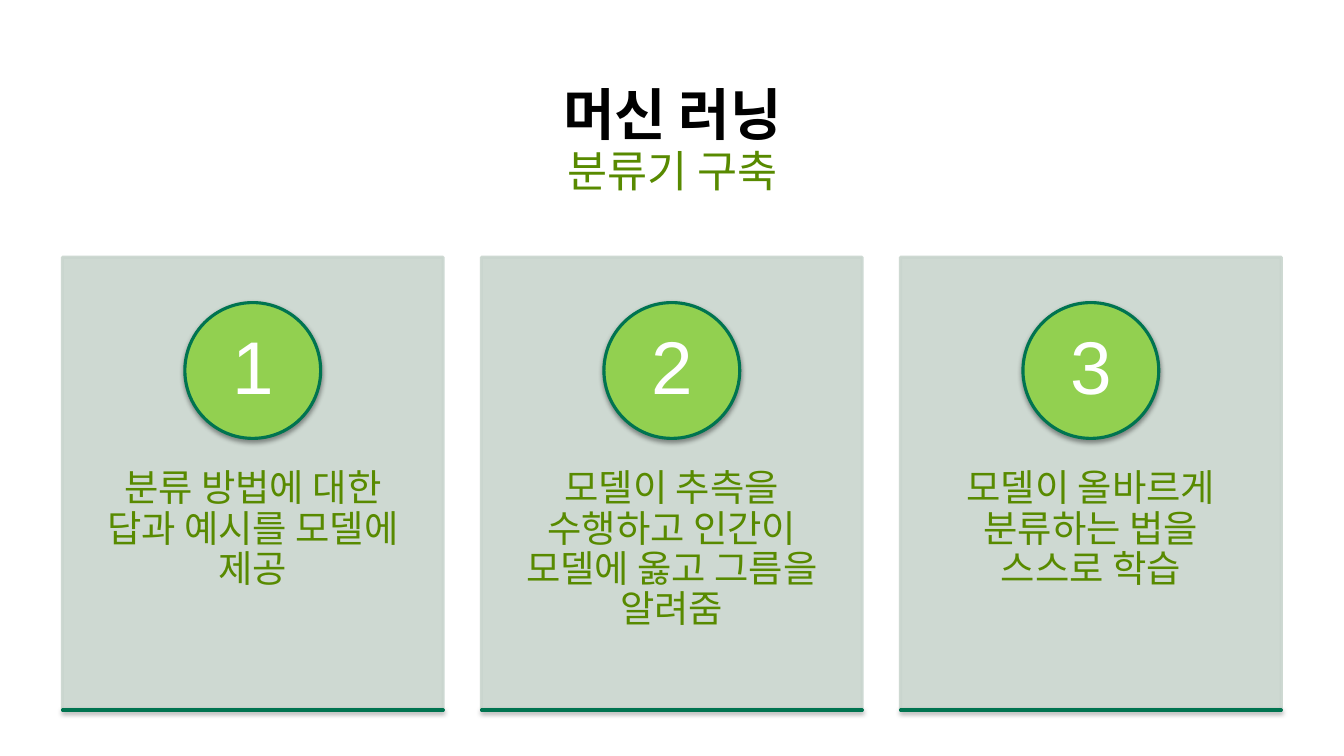
from lxml.etree import SubElement
from pptx import Presentation
from pptx.dml.color import RGBColor
from pptx.enum.shapes import MSO_SHAPE as Preset
from pptx.enum.text import MSO_ANCHOR as Anchor, MSO_AUTO_SIZE as AutoSize, PP_ALIGN as Align
from pptx.oxml.ns import qn
from pptx.util import Pt

BLACK = RGBColor(0x00, 0x00, 0x00)
WHITE = RGBColor(0xFF, 0xFF, 0xFF)
SAGE = RGBColor(0xC9, 0xD5, 0xCE)
LIME = RGBColor(0x92, 0xD0, 0x50)
PINE = RGBColor(0x00, 0x74, 0x50)
OLIVE = RGBColor(0x58, 0x8A, 0x00)


def write(holder, text, color, font, margins, anchor=Anchor.TOP):
    frame = holder.text_frame
    frame.text = text
    paragraph = frame.paragraphs[0]
    side, edge = margins
    frame_format = {
        "word_wrap": True, "auto_size": AutoSize.NONE, "vertical_anchor": anchor,
        "margin_left": Pt(side), "margin_right": Pt(side),
        "margin_top": Pt(edge), "margin_bottom": Pt(edge),
    }
    paragraph_format = {"alignment": Align.CENTER, "line_spacing": 0.9, "space_before": Pt(0)}
    for target, values in ((frame, frame_format), (paragraph, paragraph_format),
                           (paragraph.runs[0].font, font)):
        for name, value in values.items():
            setattr(target, name, value)
    paragraph.runs[0].font.color.rgb = color
    return paragraph


def draw(group, preset, box, fill, line, alpha=None, shadow=False):
    shape = group.shapes.add_shape(preset, *map(Pt, box))
    shape.fill.solid()
    shape.fill.fore_color.rgb = fill
    shape.line.color.rgb = line
    shape.line.width = Pt(2)
    shape.shadow.inherit = False
    properties = shape.element.spPr
    if alpha:
        for color in properties.findall(".//" + qn("a:srgbClr")):
            SubElement(color, qn("a:alpha"), val=str(alpha * 1000))
    if shadow:
        cast = SubElement(properties.find(qn("a:effectLst")), qn("a:outerShdw"),
                          blurRad=str(Pt(3.1)), dist=str(Pt(1.6)), dir="5400000", rotWithShape="0")
        black = SubElement(cast, qn("a:srgbClr"), val=str(BLACK))
        SubElement(black, qn("a:alpha"), val="38000")


deck = Presentation()
deck.slide_width, deck.slide_height = Pt(864), Pt(486)
slide = deck.slides.add_slide(deck.slide_layouts[1])

title, subtitle = slide.placeholders
for heading, top, height in ((title, 51.84, 46.8), (subtitle, 92.88, 41.04)):
    place = {"left": Pt(39.6), "top": Pt(top), "width": Pt(785.5), "height": Pt(height)}
    for name, value in place.items():
        setattr(heading, name, value)
write(title, "머신 러닝", BLACK, {"name": "Cabin", "size": Pt(36), "bold": True},
      (7.2, 3.6), Anchor.BOTTOM)
subtitle_line = write(subtitle, "분류기 구축", OLIVE, {"name": "Cabin", "size": Pt(28)}, (7.2, 3.6))
bullet_format = subtitle_line._p.get_or_add_pPr()
bullet_format.set("marL", "0")
bullet_format.set("indent", "0")
SubElement(bullet_format, qn("a:buNone"))

steps = [
    "분류 방법에 대한 답과 예시를 모델에 제공",
    "모델이 추측을 수행하고 인간이 모델에 옳고 그름을 알려줌",
    "모델이 올바르게 분류하는 법을 스스로 학습",
]
CARD_LEFT, CARD_TOP, CARD_WIDTH, CARD_HEIGHT, CARD_PITCH = 40.1, 165.4, 244.8, 291, 269.4
CIRCLE, NUMBER, CIRCLE_MIDDLE = 87.3, 61.7, 238.2

for index, step in enumerate(steps):
    left = CARD_LEFT + index * CARD_PITCH
    middle = left + CARD_WIDTH / 2
    card = slide.shapes.add_group_shape()
    draw(card, Preset.RECTANGLE, (left, CARD_TOP, CARD_WIDTH, CARD_HEIGHT), SAGE, SAGE, alpha=90)
    description = card.shapes.add_textbox(Pt(left), Pt(275.8), Pt(CARD_WIDTH), Pt(174.2))
    write(description, step, OLIVE, {"name": "Arial", "size": Pt(24)}, (19.3, 26))
    draw(card, Preset.OVAL, (middle - CIRCLE / 2, CIRCLE_MIDDLE - CIRCLE / 2, CIRCLE, CIRCLE),
         LIME, PINE, shadow=True)
    number = card.shapes.add_textbox(Pt(middle - NUMBER / 2), Pt(CIRCLE_MIDDLE - NUMBER / 2),
                                     Pt(NUMBER), Pt(NUMBER))
    write(number, str(index + 1), WHITE, {"name": "Arial", "size": Pt(48)}, (6.5, 0.7), Anchor.MIDDLE)
    draw(card, Preset.RECTANGLE, (left, CARD_TOP + CARD_HEIGHT, CARD_WIDTH, 0),
         PINE, PINE, shadow=True)

deck.save("out.pptx")
